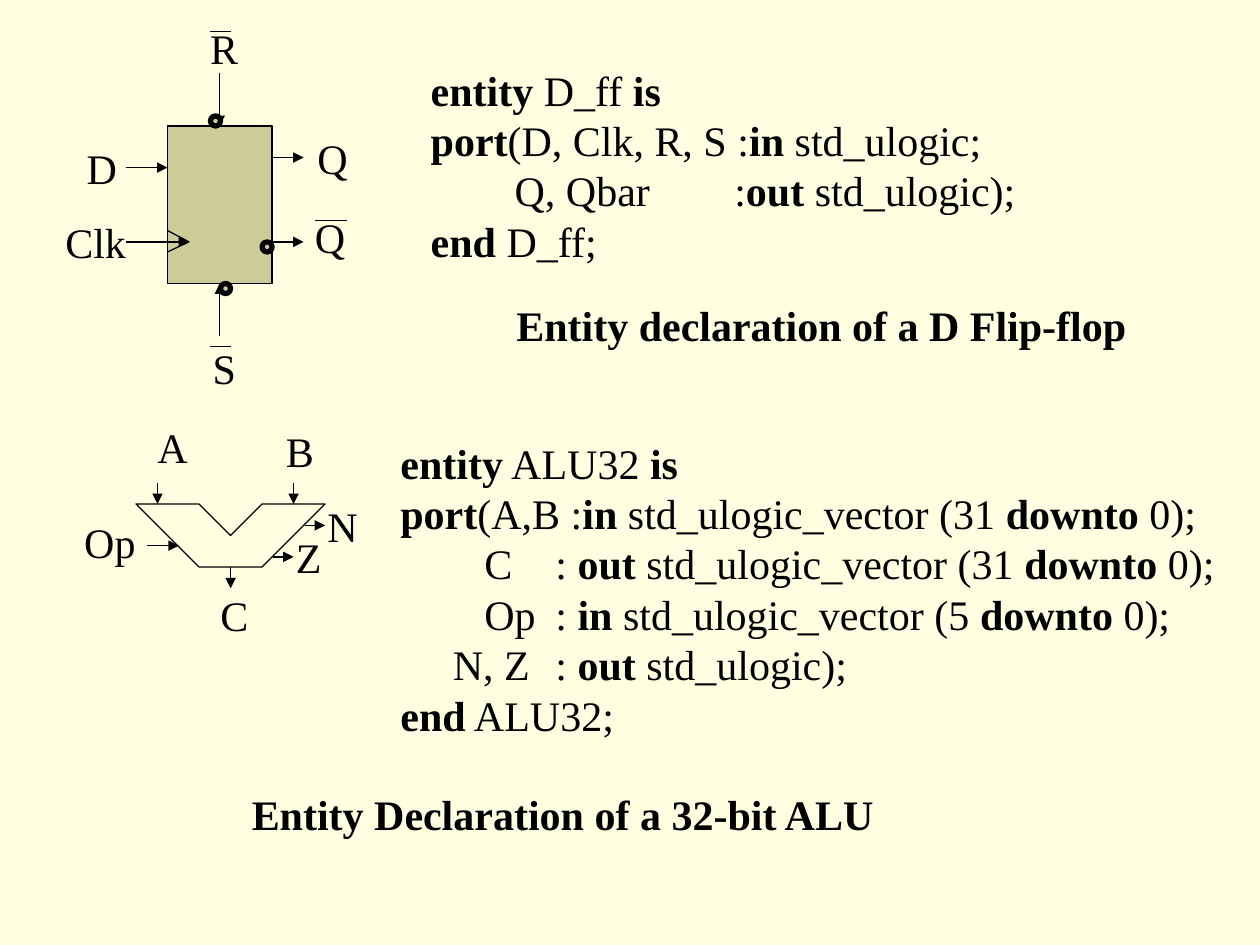
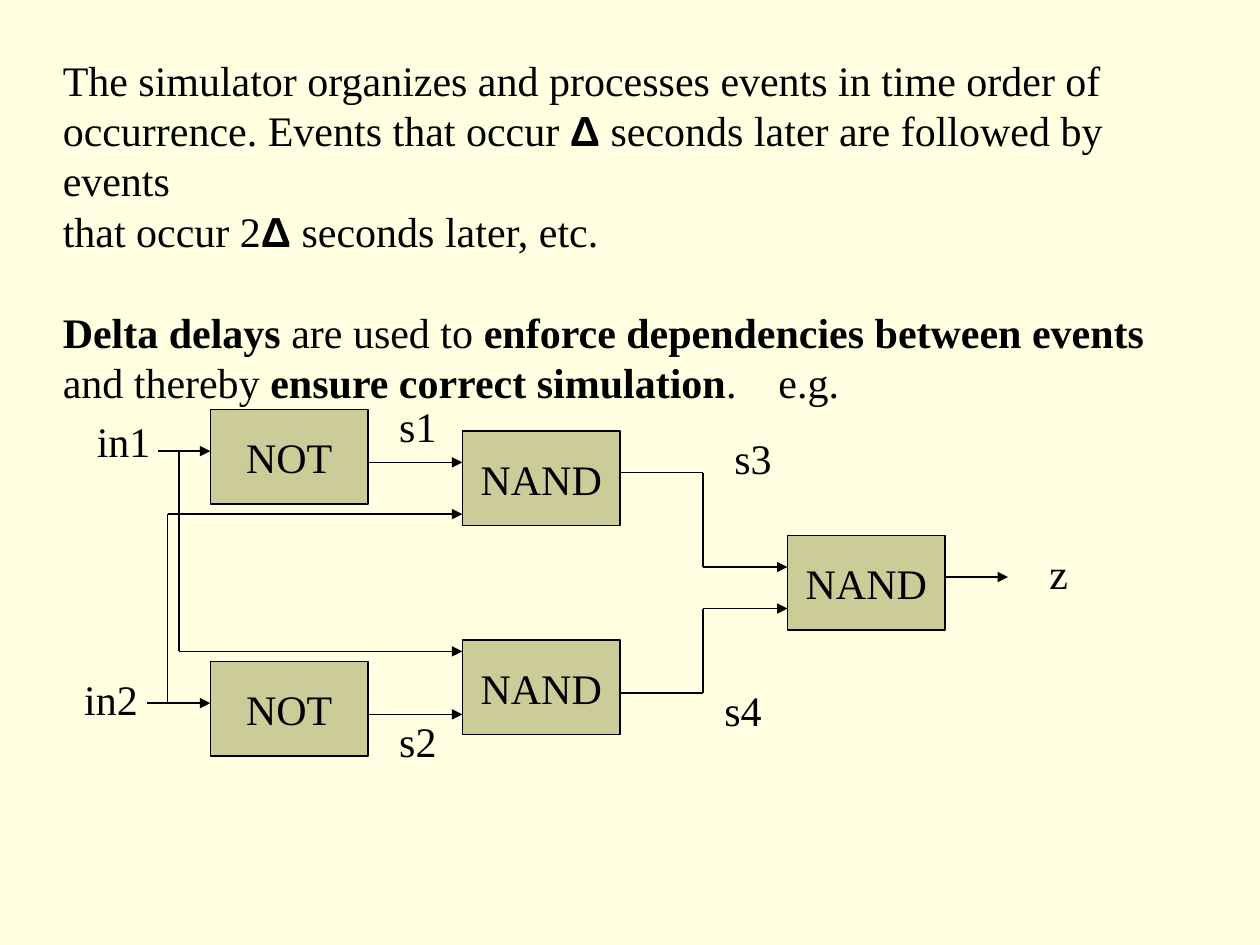
from itertools import pairwise

from lxml.etree import SubElement
from pptx import Presentation
from pptx.dml.color import RGBColor
from pptx.enum.shapes import MSO_CONNECTOR, MSO_SHAPE
from pptx.enum.text import MSO_ANCHOR, PP_ALIGN
from pptx.oxml.ns import qn
from pptx.util import Inches, Pt

CREAM = RGBColor(0xFF, 0xFF, 0xE1)
KHAKI = RGBColor(0xCC, 0xCC, 0x99)
BLACK = RGBColor(0, 0, 0)
SERIF, SANS = "Times New Roman", "Arial"
TEXT_SIZE = Pt(24)
LINE_PITCH = Pt(28.8)
THIN, THICK = 0.75, 3
GATE_WIDTH, GATE_HEIGHT = 1.25, 0.75

D_FF_CODE = [
    "**entity** D_ff **is**",
    "**port**(D, Clk, R, S :**in** std_ulogic;",
    "        Q, Qbar\t:**out** std_ulogic);",
    "**end** D_ff;",
]
ALU_CODE = [
    "**entity** ALU32 **is**",
    "**port**(A,B :**in** std_ulogic_vector (31 **downto** 0);",
    "        C\t: **out** std_ulogic_vector (31 **downto** 0);",
    "        Op\t: **in** std_ulogic_vector (5 **downto** 0);",
    "     N, Z\t: **out** std_ulogic);",
    "**end** ALU32;",
]
EVENT_ORDER = [
    "The simulator organizes and processes events in time order of",
    "occurrence. Events that occur **Δ** seconds later are followed by events",
    "that occur 2**Δ** seconds later, etc.",
]
DELTA_DELAYS = [
    "**Delta delays** are used to **enforce dependencies between events**",
    "and thereby **ensure correct simulation**.\te.g.",
]


def add_slide(prs):
    slide = prs.slides.add_slide(prs.slide_layouts[6])
    slide.background.fill.solid()
    slide.background.fill.fore_color.rgb = CREAM
    return slide


def style_run(run, bold=False):
    run.font.name = SANS if run.text == "Δ" else SERIF
    run.font.size = TEXT_SIZE
    run.font.bold = bold
    run.font.color.rgb = BLACK


def add_tab_stop(paragraph, position):
    tab_list = SubElement(paragraph._p.get_or_add_pPr(), qn("a:tabLst"))
    SubElement(tab_list, qn("a:tab"), pos=str(Inches(position)), algn="l")


def add_text(slide, left, top, width, lines, tab=None):
    """Write one paragraph per line; ** switches bold on and off."""
    height = 0.1 + 0.4 * len(lines)
    box = slide.shapes.add_textbox(Inches(left), Inches(top), Inches(width), Inches(height))
    frame = box.text_frame
    frame.word_wrap = True
    for index, line in enumerate(lines):
        paragraph = frame.add_paragraph() if index else frame.paragraphs[0]
        if tab and "\t" in line:
            add_tab_stop(paragraph, tab)
        for part, text in enumerate(line.split("**")):
            if text:
                run = paragraph.add_run()
                run.text = text
                style_run(run, bold=part % 2 == 1)
    return frame


def add_labels(slide, left, top, labels):
    for text, x, y, width in labels:
        add_text(slide, left + x, top + y, width, [text])


def outline(shape, fill=None, weight=THIN):
    shape.shadow.inherit = False
    if fill is None:
        shape.fill.background()
    else:
        shape.fill.solid()
        shape.fill.fore_color.rgb = fill
    shape.line.color.rgb = BLACK
    shape.line.width = Pt(weight)


def add_block(slide, kind, left, top, width, height, weight=THIN):
    block = slide.shapes.add_shape(
        kind, Inches(left), Inches(top), Inches(width), Inches(height))
    outline(block, KHAKI, weight)
    return block


def add_path(slide, left, top, points, close):
    corners = [(Inches(left + x), Inches(top + y)) for x, y in points]
    builder = slide.shapes.build_freeform(*corners[0])
    builder.add_line_segments(corners[1:], close=close)
    outline(builder.convert_to_shape())


def add_wire(slide, left, top, points, arrow=True):
    """Join the points by straight lines, the last with an arrowhead."""
    for (x1, y1), (x2, y2) in pairwise(points):
        line = slide.shapes.add_connector(
            MSO_CONNECTOR.STRAIGHT, Inches(left + x1), Inches(top + y1),
            Inches(left + x2), Inches(top + y2))
        line.line.color.rgb = BLACK
        line.line.width = Pt(THIN)
        SubElement(line._element.spPr, qn("a:effectLst"))
    if arrow:
        SubElement(line.line._get_or_add_ln(), qn("a:tailEnd"), type="triangle")


def draw_flip_flop(slide, left, top):
    width, height = 0.83, 1.25
    middle = width / 2
    add_block(slide, MSO_SHAPE.RECTANGLE, left, top, width, height)
    for pin in (
        [(middle, -0.42), (middle, 0)],
        [(middle, height + 0.42), (middle, height)],
        [(-0.33, 0.33), (0, 0.33)],
        [(-0.33, 0.92), (0.17, 0.92)],
        [(width, 0.25), (width + 0.25, 0.25)],
        [(width, 0.92), (width + 0.25, 0.92)],
    ):
        add_wire(slide, left, top, pin)
    add_path(slide, left, top, [(0, 0.83), (0.17, 0.92), (0, 1)], close=False)
    for x, y in ((0.75, 0.92), (0.42, 1.25), (0.34, -0.08)):
        add_block(slide, MSO_SHAPE.OVAL, left + x, top + y, 0.08, 0.08, THICK)
    add_labels(slide, left, top, [
        ("Clk", -0.91, 0.67, 0.75), ("D", -0.74, 0.08, 0.5),
        ("Q", 1.09, 0, 0.5), ("Q", 1.07, 0.63, 0.5),
        ("R", 0.24, -0.87, 0.5), ("S", 0.26, 1.67, 0.5),
    ])
    for x, y, length in ((1.17, 0.75, 0.25), (0.34, -0.75, 0.16), (0.34, 1.75, 0.16)):
        add_wire(slide, left, top, [(x, y), (x + length, y)], arrow=False)


def draw_alu(slide, left, top):
    add_path(slide, left, top, [
        (0, 0), (0.5, 0), (0.75, 0.25), (1, 0), (1.5, 0), (1, 0.5), (0.5, 0.5),
    ], close=True)
    for port in (
        [(0.17, -0.17), (0.17, 0)],
        [(1.25, -0.17), (1.25, 0)],
        [(0.75, 0.5), (0.75, 0.67)],
        [(0.09, 0.33), (0.34, 0.33)],
        [(1.34, 0.17), (1.5, 0.17)],
        [(1.09, 0.42), (1.25, 0.42)],
    ):
        add_wire(slide, left, top, port)
    add_labels(slide, left, top, [
        ("A", 0.07, -0.7, 0.5), ("B", 1.09, -0.67, 0.5),
        ("C", 0.57, 0.63, 0.5), ("Op", -0.51, 0.05, 0.7),
        ("N", 1.42, -0.08, 0.5), ("Z", 1.17, 0.17, 0.5),
    ])


def add_gate(slide, left, top, name):
    gate = add_block(slide, MSO_SHAPE.RECTANGLE, left, top, GATE_WIDTH, GATE_HEIGHT)
    frame = gate.text_frame
    frame.word_wrap = False
    frame.vertical_anchor = MSO_ANCHOR.MIDDLE
    frame.text = name
    frame.paragraphs[0].alignment = PP_ALIGN.CENTER
    style_run(frame.paragraphs[0].runs[0])


def draw_gate_network(slide, left, top):
    """Place the five gates and their wires from the top left input gate."""
    for name, x, y in (
        ("NOT", 0, 0), ("NOT", 0, 2),
        ("NAND", 2, 1.83), ("NAND", 2, 0.17), ("NAND", 4.58, 1),
    ):
        add_gate(slide, left + x, top + y, name)
    for wire in (
        [(-0.42, 0.33), (0, 0.33)],
        [(-0.5, 2.33), (0, 2.33)],
        [(1.25, 0.42), (2, 0.42)],
        [(1.25, 2.42), (2, 2.42)],
        [(-0.25, 0.33), (-0.25, 1.92), (2, 1.92)],
        [(-0.34, 2.33), (-0.34, 0.83), (2, 0.83)],
        [(3.25, 0.5), (3.91, 0.5), (3.91, 1.25), (4.58, 1.25)],
        [(3.25, 2.25), (3.91, 2.25), (3.91, 1.58), (4.58, 1.58)],
        [(5.83, 1.33), (6.33, 1.33)],
    ):
        add_wire(slide, left, top, wire)
    add_labels(slide, left, top, [
        ("in1", -1, 0, 0.75), ("in2", -1.1, 2.05, 0.75),
        ("s1", 1.4, -0.12, 0.6), ("s2", 1.4, 2.38, 0.6),
        ("s3", 4.06, 0.13, 0.6), ("s4", 3.98, 2.13, 0.6),
        ("z", 6.56, 1.05, 0.5),
    ])


def build_entity_slide(prs):
    slide = add_slide(prs)
    draw_flip_flop(slide, 1.33, 1)
    add_text(slide, 3.32, 0.46, 5, D_FF_CODE, tab=2.41)
    add_text(slide, 4, 2.33, 5.2, ["**Entity declaration of a D Flip-flop**"])
    draw_alu(slide, 1.08, 4)
    add_text(slide, 3.08, 3.42, 6.8, ALU_CODE, tab=1.23)
    add_text(slide, 1.9, 6.21, 5.3, ["**Entity Declaration of a 32-bit ALU**"])


def build_delta_delay_slide(prs):
    slide = add_slide(prs)
    passage = add_text(slide, 0.4, 0.38, 9.3, EVENT_ORDER + DELTA_DELAYS, tab=5.68)
    passage.paragraphs[len(EVENT_ORDER)].space_before = LINE_PITCH
    draw_gate_network(slide, 1.67, 3.25)


def main():
    prs = Presentation()
    prs.slide_width, prs.slide_height = Inches(10), Inches(7.5)
    build_entity_slide(prs)
    build_delta_delay_slide(prs)
    prs.save("out.pptx")


if __name__ == "__main__":
    main()
